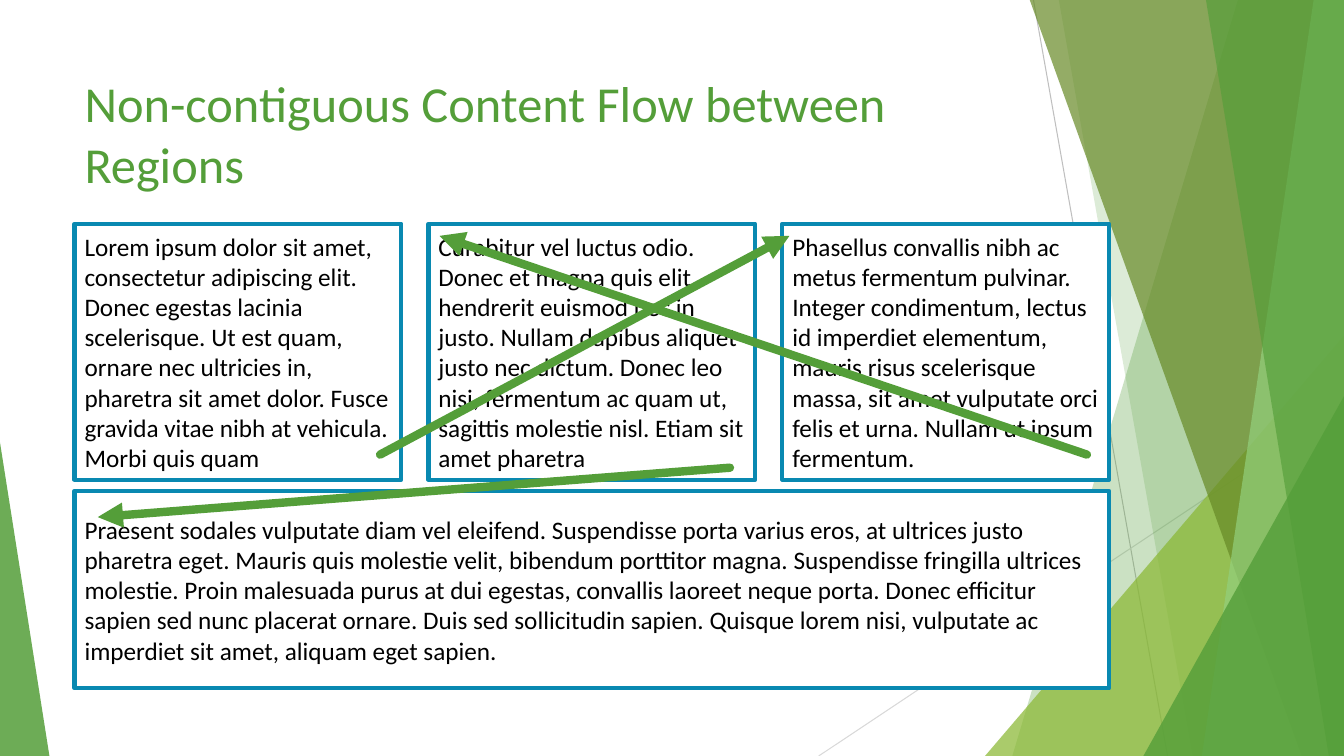
from dataclasses import dataclass

import lxml.etree
import pptx
import pptx.dml.color
import pptx.enum.shapes
import pptx.enum.text
import pptx.oxml.ns
import pptx.util

Inches = pptx.util.Inches
Pt = pptx.util.Pt
RGBColor = pptx.dml.color.RGBColor
qn = pptx.oxml.ns.qn
MSO_SHAPE = pptx.enum.shapes.MSO_SHAPE
MSO_ANCHOR = pptx.enum.text.MSO_ANCHOR

WHITE = RGBColor(0xFF, 0xFF, 0xFF)
BLACK = RGBColor(0x00, 0x00, 0x00)
GREEN = RGBColor(0x54, 0x9E, 0x39)
LIGHT_GREEN = RGBColor(0x93, 0xD0, 0x7D)
LIME = RGBColor(0x8A, 0xB8, 0x33)
OLIVE = RGBColor(0x67, 0x8A, 0x26)
BLUE = RGBColor(0x09, 0x89, 0xB1)
GRAY = RGBColor(0xBF, 0xBF, 0xBF)
PALE_GRAY = RGBColor(0xD9, 0xD9, 0xD9)

WIDTH, HEIGHT = 13.33, 7.5
FACET_TOP = -0.01
FONT = "Calibri"


@dataclass
class Facet:
    """Band reaching the right edge; its left side runs from top_x to bottom_x."""
    top_x: float
    bottom_x: float
    color: RGBColor
    opacity: int


@dataclass
class Triangle:
    """Triangle standing on the bottom edge, with its apex at a fraction of its width."""
    left: float
    top: float
    width: float
    apex: float
    color: RGBColor
    opacity: int


@dataclass
class Line:
    x1: float
    y1: float
    x2: float
    y2: float
    color: RGBColor = GREEN
    weight: float = 6
    arrow: bool = True


@dataclass
class Region:
    left: float
    top: float
    width: float
    height: float
    text: str


BACK_LINES = [
    Line(10.25, 0, 11.58, HEIGHT, GRAY, 0.75, False),
    Line(WIDTH, 4.03, 8.12, HEIGHT, PALE_GRAY, 0.75, False),
]
DECOR = [
    Facet(12.28, 10.04, GREEN, 30),
    Facet(10.5, 11.83, GREEN, 20),
    Triangle(9.77, 3.33, 3.56, 1, LIME, 72),
    Facet(10.21, 12.91, OLIVE, 70),
    Facet(13.03, 11.92, LIGHT_GREEN, 70),
    Facet(11.96, 13.18, GREEN, 65),
    Triangle(11.34, 3.93, 1.99, 1, GREEN, 80),
    Triangle(0, 4.39, 0.49, 0, GREEN, 85),
]

LEFT, COLUMN_WIDTH, COLUMN_STEP = 0.74, 3.24, 3.51
COLUMN_TEXTS = [
    "Lorem ipsum dolor sit amet, consectetur adipiscing elit. Donec egestas lacinia "
    "scelerisque. Ut est quam, ornare nec ultricies in, pharetra sit amet dolor. Fusce "
    "gravida vitae nibh at vehicula. Morbi quis quam",
    "Curabitur vel luctus odio. Donec et magna quis elit hendrerit euismod nec in justo. "
    "Nullam dapibus aliquet justo nec dictum. Donec leo nisi, fermentum ac quam ut, "
    "sagittis molestie nisl. Etiam sit amet pharetra",
    "Phasellus convallis nibh ac metus fermentum pulvinar. Integer condimentum, lectus id "
    "imperdiet elementum, mauris risus scelerisque massa, sit amet vulputate orci felis et "
    "urna. Nullam ut ipsum fermentum.",
]
WIDE_TEXT = (
    "Praesent sodales vulputate diam vel eleifend. Suspendisse porta varius eros, at ultrices "
    "justo pharetra eget. Mauris quis molestie velit, bibendum porttitor magna. Suspendisse "
    "fringilla ultrices molestie. Proin malesuada purus at dui egestas, convallis laoreet neque "
    "porta. Donec efficitur sapien sed nunc placerat ornare. Duis sed sollicitudin sapien. "
    "Quisque lorem nisi, vulputate ac imperdiet sit amet, aliquam eget sapien."
)
REGIONS = [
    Region(LEFT + i * COLUMN_STEP, 2.22, COLUMN_WIDTH, 2.54, text)
    for i, text in enumerate(COLUMN_TEXTS)
] + [Region(LEFT, 4.87, 2 * COLUMN_STEP + COLUMN_WIDTH, 1.96, WIDE_TEXT)]

FLOW_ARROWS = [
    Line(3.77, 4.51, 7.83, 2.34),
    Line(10.78, 4.51, 4.36, 2.34),
    Line(7.24, 4.64, 0.97, 5.13),
]


def paint(sp, color: RGBColor, opacity: int) -> None:
    sp.shadow.inherit = False
    sp.fill.solid()
    sp.fill.fore_color.rgb = color
    sp.line.fill.background()
    srgb = sp._element.spPr.find(qn("a:solidFill")).find(qn("a:srgbClr"))
    lxml.etree.SubElement(srgb, qn("a:alpha")).set("val", str(opacity * 1000))


def add_facet(shapes, f: Facet) -> None:
    corners = [(WIDTH, FACET_TOP), (WIDTH, HEIGHT), (f.bottom_x, HEIGHT)]
    builder = shapes.build_freeform(Inches(f.top_x), Inches(FACET_TOP))
    builder.add_line_segments([(Inches(x), Inches(y)) for x, y in corners], close=True)
    paint(builder.convert_to_shape(), f.color, f.opacity)


def add_triangle(shapes, t: Triangle) -> None:
    sp = shapes.add_shape(MSO_SHAPE.ISOSCELES_TRIANGLE, Inches(t.left), Inches(t.top),
                          Inches(t.width), Inches(HEIGHT - t.top))
    sp.adjustments[0] = t.apex
    paint(sp, t.color, t.opacity)


def add_line(shapes, line: Line) -> None:
    sp = shapes.add_connector(pptx.enum.shapes.MSO_CONNECTOR.STRAIGHT, Inches(line.x1),
                              Inches(line.y1), Inches(line.x2), Inches(line.y2))
    sp.line.color.rgb = line.color
    sp.line.width = Pt(line.weight)
    if line.arrow:
        ln = sp.line._get_or_add_ln()
        ln.set("cap", "rnd")
        lxml.etree.SubElement(ln, qn("a:tailEnd")).set("type", "triangle")
    lxml.etree.SubElement(sp._element.spPr, qn("a:effectLst"))


def write(sp, text: str, size: float, color: RGBColor, anchor: MSO_ANCHOR) -> None:
    tf = sp.text_frame
    tf.word_wrap = True
    tf.vertical_anchor = anchor
    p = tf.paragraphs[0]
    p.text = text
    p.alignment = pptx.enum.text.PP_ALIGN.LEFT
    p.font.name = FONT
    p.font.size = Pt(size)
    p.font.color.rgb = color


def add_region(shapes, region: Region) -> None:
    sp = shapes.add_shape(MSO_SHAPE.RECTANGLE, Inches(region.left), Inches(region.top),
                          Inches(region.width), Inches(region.height))
    sp.shadow.inherit = False
    sp.fill.solid()
    sp.fill.fore_color.rgb = WHITE
    sp.line.color.rgb = BLUE
    sp.line.width = Pt(3)
    write(sp, region.text, 18, BLACK, MSO_ANCHOR.MIDDLE)


def main() -> None:
    prs = pptx.Presentation()
    prs.slide_width, prs.slide_height = Inches(WIDTH), Inches(HEIGHT)
    shapes = prs.slides.add_slide(prs.slide_layouts[6]).shapes

    # Background decoration
    for line in BACK_LINES:
        add_line(shapes, line)
    for part in DECOR:
        if isinstance(part, Facet):
            add_facet(shapes, part)
        else:
            add_triangle(shapes, part)

    # Title
    title = shapes.add_textbox(Inches(LEFT), Inches(0.67), Inches(9.4), Inches(1.44))
    write(title, "Non-contiguous Content Flow between Regions", 36, GREEN, MSO_ANCHOR.TOP)

    # Text regions and the flow between them
    for region in REGIONS:
        add_region(shapes, region)
    for arrow in FLOW_ARROWS:
        add_line(shapes, arrow)

    prs.save("out.pptx")


if __name__ == "__main__":
    main()
